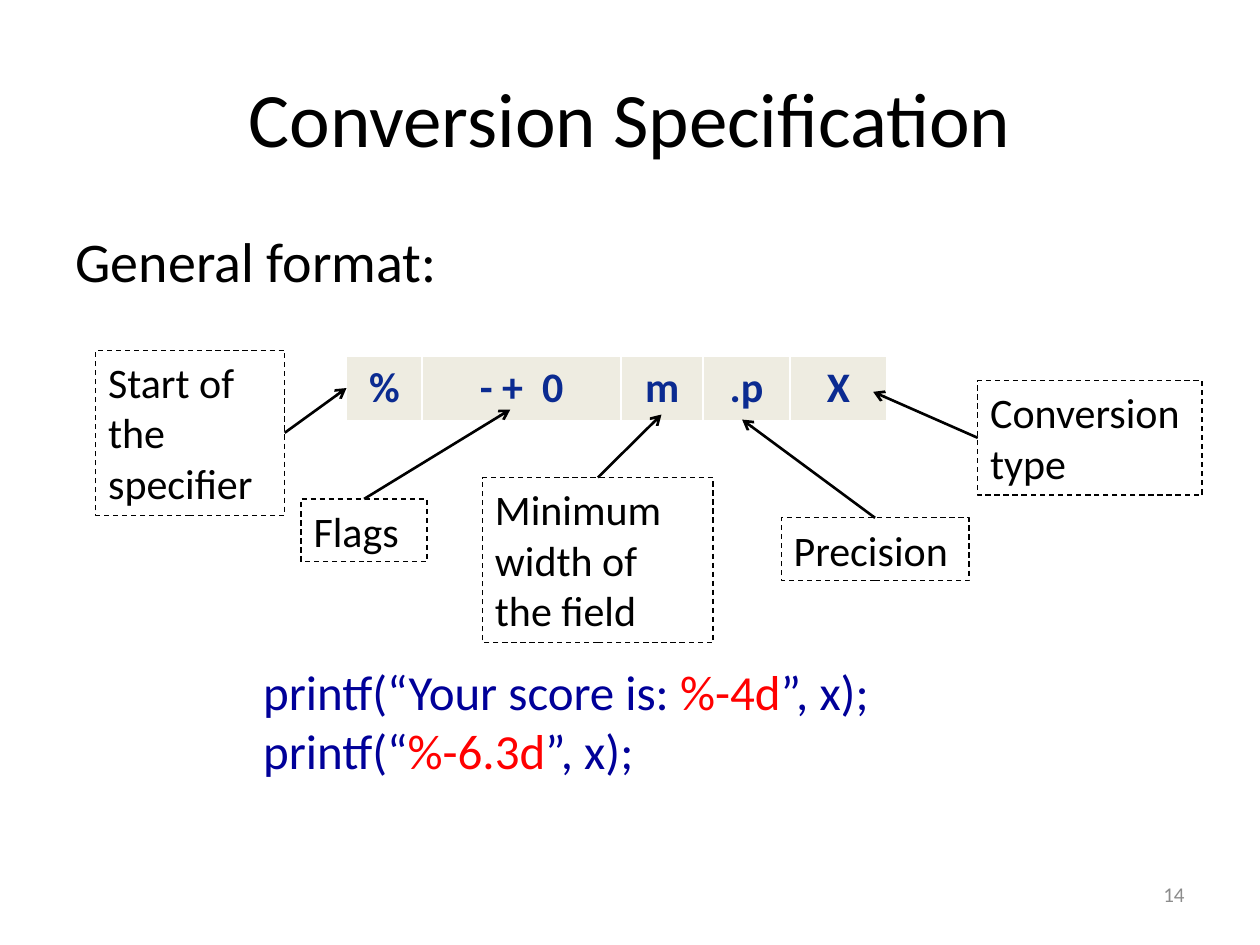
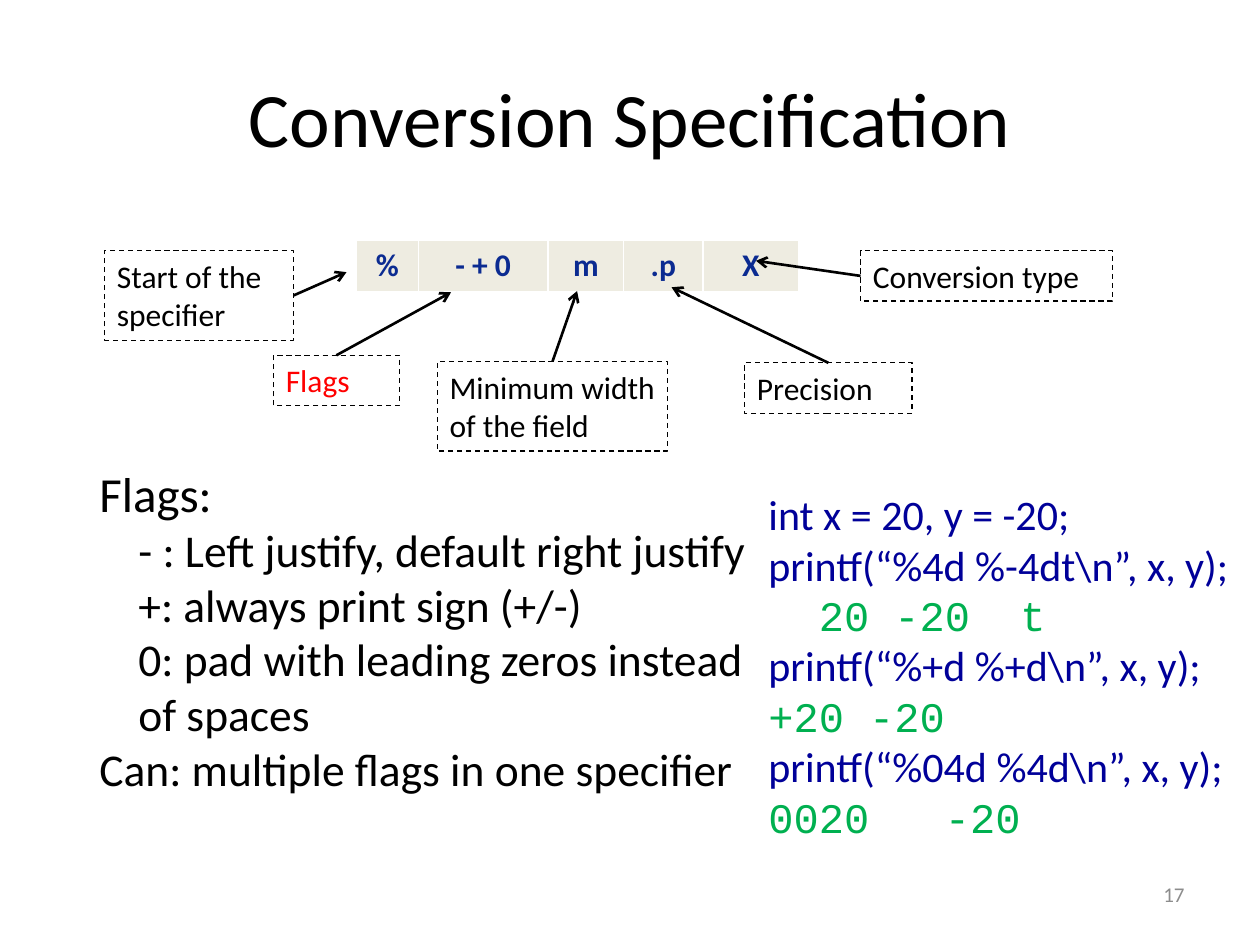
from lxml import etree
from pptx import Presentation, util as u
from pptx.dml.color import RGBColor
from pptx.enum import dml, shapes, text
from pptx.oxml import ns

BLACK = RGBColor(0x00, 0x00, 0x00)
RED = RGBColor(0xFF, 0x00, 0x00)
NAVY = RGBColor(0x00, 0x00, 0x99)
GREEN = RGBColor(0x00, 0xB0, 0x50)
BLUE = RGBColor(0x0B, 0x2B, 0x91)
CREAM = RGBColor(0xEE, 0xEC, 0xE1)
GREY = RGBColor(0x8C, 0x8C, 0x8C)

CODE = {"color": NAVY}
MARK = {"color": RED}
OUT = {"color": GREEN, "name": "Courier New"}
RIGHT, CENTER = text.PP_ALIGN.RIGHT, text.PP_ALIGN.CENTER
TOP, LEFT, SIDE = 0, 1, 3


class Deck:
    """Hold the shared style and the current slide."""

    def __init__(self):
        self.prs = Presentation()
        self.prs.slide_width, self.prs.slide_height = u.Inches(10), u.Inches(7.5)

    def page(self, title, num, layout):
        self.slide = self.prs.slides.add_slide(self.prs.slide_layouts[layout])
        head = self.slide.shapes.title
        self.place(head, 0.5, 0.3, 9, 1.25)
        self.fill(head.text_frame.paragraphs[0], [(title, {})], 44, CENTER)
        foot = self.box((8.58, 6.9, 0.92, 0.4), [[(num, {"color": GREY})]], 12)
        foot.text_frame.auto_size = text.MSO_AUTO_SIZE.NONE
        foot.text_frame.vertical_anchor = text.MSO_ANCHOR.MIDDLE
        foot.text_frame.paragraphs[0].alignment = RIGHT

    def place(self, shape, *spot):
        for key, val in zip(("left", "top", "width", "height"), spot):
            setattr(shape, key, u.Inches(val))

    def fill(self, para, runs, size, align=None):
        para.alignment = align
        for words, form in runs:
            run = para.add_run()
            run.text = words
            style = {"name": "Calibri", "size": u.Pt(size), "color": BLACK, **form}
            run.font.color.rgb = style.pop("color")
            for key, val in style.items():
                setattr(run.font, key, val)

    def body(self, words):
        hold = self.slide.placeholders[1]
        self.place(hold, 0.5, 1.75, 9, 5.17)
        para = hold.text_frame.paragraphs[0]
        props = para._p.get_or_add_pPr()
        props.set("marL", str(u.Inches(0.38)))
        props.set("indent", str(-u.Inches(0.38)))
        etree.SubElement(props, ns.qn("a:buNone"))
        para.space_before = u.Pt(0)
        self.fill(para, [(words, {})], 32)

    def box(self, spot, lines, size):
        shape = self.slide.shapes.add_textbox(*map(u.Inches, spot))
        frame = shape.text_frame
        frame.word_wrap = True
        frame.auto_size = text.MSO_AUTO_SIZE.SHAPE_TO_FIT_TEXT
        for i, runs in enumerate(lines):
            para = frame.add_paragraph() if i else frame.paragraphs[0]
            self.fill(para, runs, size)
        return shape

    def label(self, words, spot, side, tip, size, form):
        shape = self.box(spot, [[(words, form)]], size)
        shape.line.color.rgb = BLACK
        shape.line.width = u.Pt(0.75)
        shape.line.dash_style = dml.MSO_LINE.DASH
        x, y = map(u.Inches, tip)
        line = self.slide.shapes.add_connector(shapes.MSO_CONNECTOR.STRAIGHT, x, y, x, y)
        line.begin_connect(shape, side)
        line.line.color.rgb = BLACK
        line.line.width = u.Pt(1.5)
        etree.SubElement(line.line._get_or_add_ln(), ns.qn("a:tailEnd"), type="arrow")
        etree.SubElement(line._element.spPr, ns.qn("a:effectLst"))

    def table(self, left, top, high, wide, words, size):
        spot = map(u.Inches, (left, top, sum(wide), high))
        grid = self.slide.shapes.add_table(1, len(words), *spot).table
        grid.horz_banding = False
        for i, (width, word) in enumerate(zip(wide, words)):
            grid.columns[i].width = u.Inches(width)
            cell = grid.cell(0, i)
            cell.fill.solid()
            cell.fill.fore_color.rgb = CREAM
            para = cell.text_frame.paragraphs[0]
            self.fill(para, [(word, {"color": BLUE, "bold": True})], size, CENTER)


def main():
    deck = Deck()
    title = "Conversion Specification"

    deck.page(title, "14", 1)
    deck.body("General format:")
    deck.table(2.75, 2.83, 0.5, (0.6, 1.58, 0.65, 0.69, 0.77),
               ("%", "- +  0", "m", ".p", "X"), 24)
    for words, spot, side, tip in (
        ("Start of the specifier", (0.76, 2.78, 1.5, 1.31), SIDE, (2.75, 3.08)),
        ("Flags", (2.39, 3.96, 1, 0.5), TOP, (4.05, 3.25)),
        ("Minimum width of the field", (3.83, 3.79, 1.83, 1.31), TOP, (5.25, 3.29)),
        ("Precision", (6.2, 4.11, 1.49, 0.5), TOP, (5.89, 3.33)),
        ("Conversion type", (7.76, 3.02, 1.78, 0.91), LEFT, (6.93, 3.11)),
    ):
        deck.label(words, spot, side, tip, 24, {})
    deck.box((1.99, 5.2, 5.33, 1.04), [
        [("printf(“Your score is: ", CODE), ("%-4d", MARK), ("”, x);", CODE)],
        [("printf(“", CODE), ("%-6.3d", MARK), ("”, x);", CODE)],
    ], 28)

    deck.page(title, "17", 5)
    deck.table(2.83, 1.91, 0.4, (0.49, 1.03, 0.6, 0.63, 0.76),
               ("%", "- + 0", "m", ".p", "X"), 18)
    for words, spot, side, tip, form in (
        ("Start of the specifier", (0.83, 1.99, 1.5, 0.71), SIDE, (2.75, 2.16), {}),
        ("Flags", (2.17, 2.82, 1, 0.4), TOP, (3.58, 2.32), MARK),
        ("Minimum width of the field", (3.47, 2.87, 1.83, 0.71), TOP, (4.58, 2.31), {}),
        ("Precision", (5.91, 2.88, 1.33, 0.4), TOP, (5.33, 2.28), {}),
        ("Conversion type", (6.83, 1.99, 2, 0.4), LEFT, (6, 2.07), {}),
    ):
        deck.label(words, spot, side, tip, 18, form)
    deck.box((6, 3.83, 3.92, 3), [[pair] for pair in (
        ("int x = 20, y = -20;", CODE),
        ("printf(“%4d %-4dt\\n”, x, y);", CODE),
        ("  20 -20  t", OUT),
        ("printf(“%+d %+d\\n”, x, y);", CODE),
        ("+20 -20", OUT),
        ("printf(“%04d %4d\\n”, x, y);", CODE),
        ("0020   -20", OUT),
    )], 24)
    notes = deck.box((0.69, 3.63, 5.4, 2.76), [[pair] for pair in (
        ("Flags:", {"size": u.Pt(28)}),
        ("- : Left justify, default right justify", {}),
        ("+: always print sign (+/-)", {}),
        ("0: pad with leading zeros instead of spaces", {}),
        ("Can: multiple flags in one specifier", {}),
    )], 26)
    for para in notes.text_frame.paragraphs[1:4]:
        para._p.get_or_add_pPr().set("marL", str(u.Inches(0.31)))

    deck.prs.save("out.pptx")


if __name__ == "__main__":
    main()
